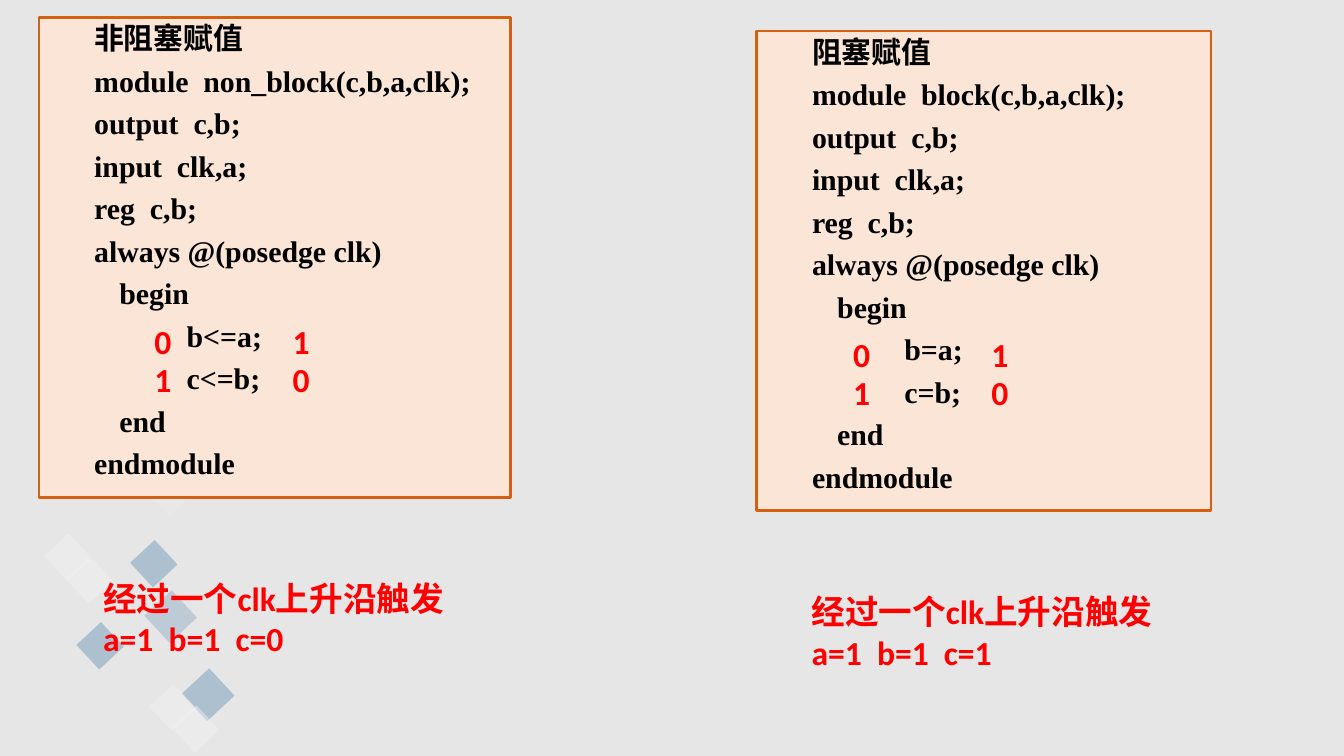
from lxml import etree
from pptx import Presentation
from pptx.dml.color import RGBColor
from pptx.enum.shapes import MSO_SHAPE
from pptx.enum.text import MSO_ANCHOR, PP_ALIGN
from pptx.oxml.ns import qn
from pptx.util import Pt

RECT = MSO_SHAPE.RECTANGLE
TOP = MSO_ANCHOR.TOP
LEFT = PP_ALIGN.LEFT
JUST = PP_ALIGN.JUSTIFY

BLUE = "3773A4"
PALE = "F2F2F2"
RED = "FF0000"

TILES = [
    (44.6, 337, 18, BLUE, 33),
    (27.4, 289.4, 18, PALE, 46),
    (101.5, 362.2, 20, BLUE, 33),
    (81.4, 320.4, 20, BLUE, 23),
    (73.4, 293, 18, BLUE, 33),
    (83.5, 370, 18, PALE, 46),
    (81.4, 252, 20, PALE, 23),
    (38.9, 301.7, 18, PALE, 46),
    (95.8, 381.6, 18, PALE, 46),
]

PANELS = [
    ("非阻塞赋值", "non_block", "<=", 0, (20.9, 9.4, 252.7), 75.6, 48.2),
    ("阻塞赋值", "block", "=", 1, (405.4, 16.6, 243.4), 450, 427.7),
]


def paint(fill, hue):
    fill.solid()
    fill.fore_color.rgb = RGBColor.from_string(hue)


def box(slide, x, y, w, h, hue):
    shape = slide.shapes.add_shape(RECT, Pt(x), Pt(y), Pt(w), Pt(h))
    shape.shadow.inherit = False
    paint(shape.fill, hue)
    shape.line.fill.background()
    return shape


def tile(slide, x, y, size, hue, alpha):
    shape = box(slide, x, y, size, size, hue)
    shape.rotation = 47.2
    tint = shape.fill._xPr.find(".//" + qn("a:srgbClr"))
    etree.SubElement(tint, qn("a:alpha"), val=str(alpha * 1000))


def write(frame, lines, face, size, hue, align):
    frame.word_wrap = True
    frame.vertical_anchor = TOP
    paras = [frame.paragraphs[0]]
    paras += [frame.add_paragraph() for _ in lines[1:]]
    for para, line in zip(paras, lines):
        para.text = line
        para.alignment = align
        para.font.name = face
        para.font.size = Pt(size)
        para.font.bold = True
        para.font.color.rgb = RGBColor.from_string(hue)
    return paras


def note(slide, x, y, w, h, lines):
    label = slide.shapes.add_textbox(Pt(x), Pt(y), Pt(w), Pt(h))
    return write(label.text_frame, lines, "Calibri", 18, RED, LEFT)


def pair(slide, x, y, first, last):
    para = note(slide, x, y, 99.4, 28.8, [f"{first}\t{last}"])[0]
    tabs = etree.SubElement(para._p.get_or_add_pPr(), qn("a:tabLst"))
    etree.SubElement(tabs, qn("a:tab"), pos=str(Pt(74)), algn="l")


def code(slide, x, y, w, head, name, sign):
    shape = box(slide, x, y, w, 257, "FBE5D6")
    paint(shape.line.fill, "D46011")
    shape.line.width = Pt(1.5)
    rows = [
        (22.5, head),
        (22.5, f"module  {name}(c,b,a,clk);"),
        (22.5, "output  c,b;"),
        (22.5, "input  clk,a;"),
        (22.5, "reg  c,b;"),
        (22.5, "always @(posedge clk)"),
        (36, "begin"),
        (72, f"b{sign}a;"),
        (72, f"c{sign}b;"),
        (36, "end"),
        (22.5, "endmodule"),
    ]
    lines = [line for _, line in rows]
    paras = write(shape.text_frame, lines, "Times New Roman", 16, "000000", JUST)
    for para, (indent, _) in zip(paras, rows):
        para.line_spacing = 0.9
        para.space_before = Pt(5.5)
        props = para._p.get_or_add_pPr()
        props.set("marL", "0")
        props.set("indent", str(Pt(indent)))


def main():
    deck = Presentation()
    deck.slide_width = Pt(720)
    deck.slide_height = Pt(405)
    slide = deck.slides.add_slide(deck.slide_layouts[6])
    paint(slide.background.fill, "E6E6E6")
    for spot in TILES:
        tile(slide, *spot)
    for head, name, sign, out, (x, y, w), mark, end in PANELS:
        code(slide, x, y, w, head, name, sign)
        pair(slide, mark, y + 159, 0, 1)
        pair(slide, mark, y + 179.3, 1, 0)
        lines = ["经过一个clk上升沿触发", f"a=1  b=1  c={out}"]
        note(slide, end, y + 296.6, 198, 51, lines)
    deck.save("out.pptx")


if __name__ == "__main__":
    main()
